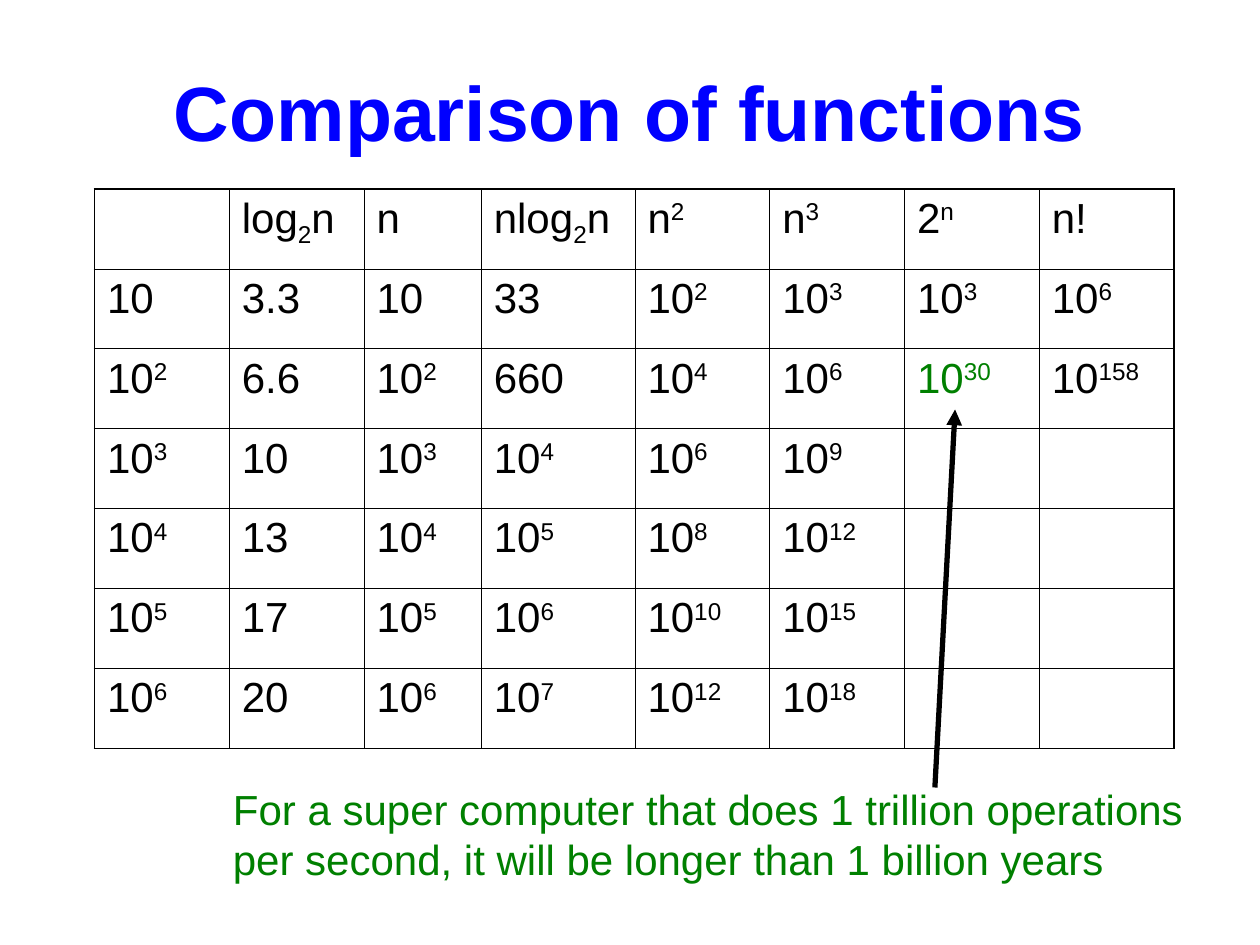
from collections import namedtuple

from lxml import etree
from pptx import Presentation
from pptx import util as u
from pptx.dml.color import RGBColor
from pptx.enum import shapes, text
from pptx.oxml import ns

Box = namedtuple("Box", "left top width height")

BLACK, BLUE, GREEN = "000000", "0000FF", "008000"
THIN, THICK = 0.45, 1.08
BASELINES = {"^": "30000", "_": "-25000"}
COLUMN_WIDTHS = [1.07, 1.07, 0.93, 1.22, 1.07, 1.07, 1.07, 1.07]
ROWS = [
    ["", "log|_2|n", "n", "nlog|_2|n", "n|^2", "n|^3", "2|^n", "n!"],
    ["10", "3.3", "10", "33", "10|^2", "10|^3", "10|^3", "10|^6"],
    ["10|^2", "6.6", "10|^2", "660", "10|^4", "10|^6", "10|^30", "10|^158"],
    ["10|^3", "10", "10|^3", "10|^4", "10|^6", "10|^9", "", ""],
    ["10|^4", "13", "10|^4", "10|^5", "10|^8", "10|^12", "", ""],
    ["10|^5", "17", "10|^5", "10|^6", "10|^10", "10|^15", "", ""],
    ["10|^6", "20", "10|^6", "10|^7", "10|^12", "10|^18", "", ""],
]
HIGHLIGHT = (2, 6)


def rgb(value):
    return RGBColor.from_string(value)


def write_text(frame, content, size=24, color=BLACK, bold=False,
               align=text.PP_ALIGN.LEFT, anchor=text.MSO_ANCHOR.TOP):
    frame.word_wrap = True
    frame.vertical_anchor = anchor
    para = frame.paragraphs[0]
    para.alignment = align
    for piece in filter(None, content.split("|")):
        span = para.add_run()
        span.text = piece.lstrip("^_")
        span.font.name = "Arial"
        span.font.size = u.Pt(size)
        span.font.bold = bold
        span.font.color.rgb = rgb(color)
        if piece[0] in BASELINES:
            span.font._element.set("baseline", BASELINES[piece[0]])


def add_text(page, box, content, **style):
    shape = page.shapes.add_textbox(*map(u.Inches, box))
    write_text(shape.text_frame, content, **style)


def set_borders(cell, widths):
    properties = cell._tc.get_or_add_tcPr()
    for side, width in widths.items():
        border = etree.SubElement(properties, ns.qn("a:ln" + side), w=str(u.Pt(width)))
        fill = etree.SubElement(border, ns.qn("a:solidFill"))
        etree.SubElement(fill, ns.qn("a:srgbClr"), val=BLACK)


def add_growth_table(page, box):
    last_row, last_column = len(ROWS) - 1, len(COLUMN_WIDTHS) - 1
    table = page.shapes.add_table(
        len(ROWS), len(COLUMN_WIDTHS), *map(u.Inches, box)).table
    table.first_row = table.horz_banding = False
    for column, width in zip(table.columns, COLUMN_WIDTHS):
        column.width = u.Inches(width)
    for i, values in enumerate(ROWS):
        table.rows[i].height = u.Inches(box.height / len(ROWS))
        for j, value in enumerate(values):
            cell = table.cell(i, j)
            set_borders(cell, {
                "L": THICK if j == 0 else THIN,
                "R": THICK if j == last_column else THIN,
                "T": THICK if i == 0 else THIN,
                "B": THICK if i == last_row else THIN,
            })
            cell.fill.background()
            write_text(cell.text_frame, value,
                       color=GREEN if (i, j) == HIGHLIGHT else BLACK)


def add_arrow(page, start, end):
    arrow = page.shapes.add_connector(
        shapes.MSO_CONNECTOR.STRAIGHT, *map(u.Inches, start + end))
    arrow.line.color.rgb = rgb(BLACK)
    arrow.line.width = u.Pt(3)
    etree.SubElement(arrow.line._get_or_add_ln(), ns.qn("a:tailEnd"), type="triangle")
    etree.SubElement(arrow._element.spPr, ns.qn("a:effectLst"))


def add_remark(page, box):
    add_text(page, box,
             "For a super computer that does 1 trillion operations "
             "per second, it will be longer than 1 billion years", color=GREEN)
    add_arrow(page, (box.left + 5.67, box.top + 0.08),
              (box.left + 5.83, box.top - 2.92))


def main():
    deck = Presentation()
    deck.slide_width, deck.slide_height = u.Inches(10), u.Inches(7.5)
    page = deck.slides.add_slide(deck.slide_layouts[6])
    add_text(page, Box(0.75, 0.25, 8.5, 1.25), "Comparison of functions",
             size=44, color=BLUE, bold=True, align=text.PP_ALIGN.CENTER,
             anchor=text.MSO_ANCHOR.MIDDLE)
    add_growth_table(page, Box(0.75, 1.5, 8.58, 4.44))
    add_remark(page, Box(1.75, 6.17, 7.75, 0.9))
    deck.save("out.pptx")


if __name__ == "__main__":
    main()
